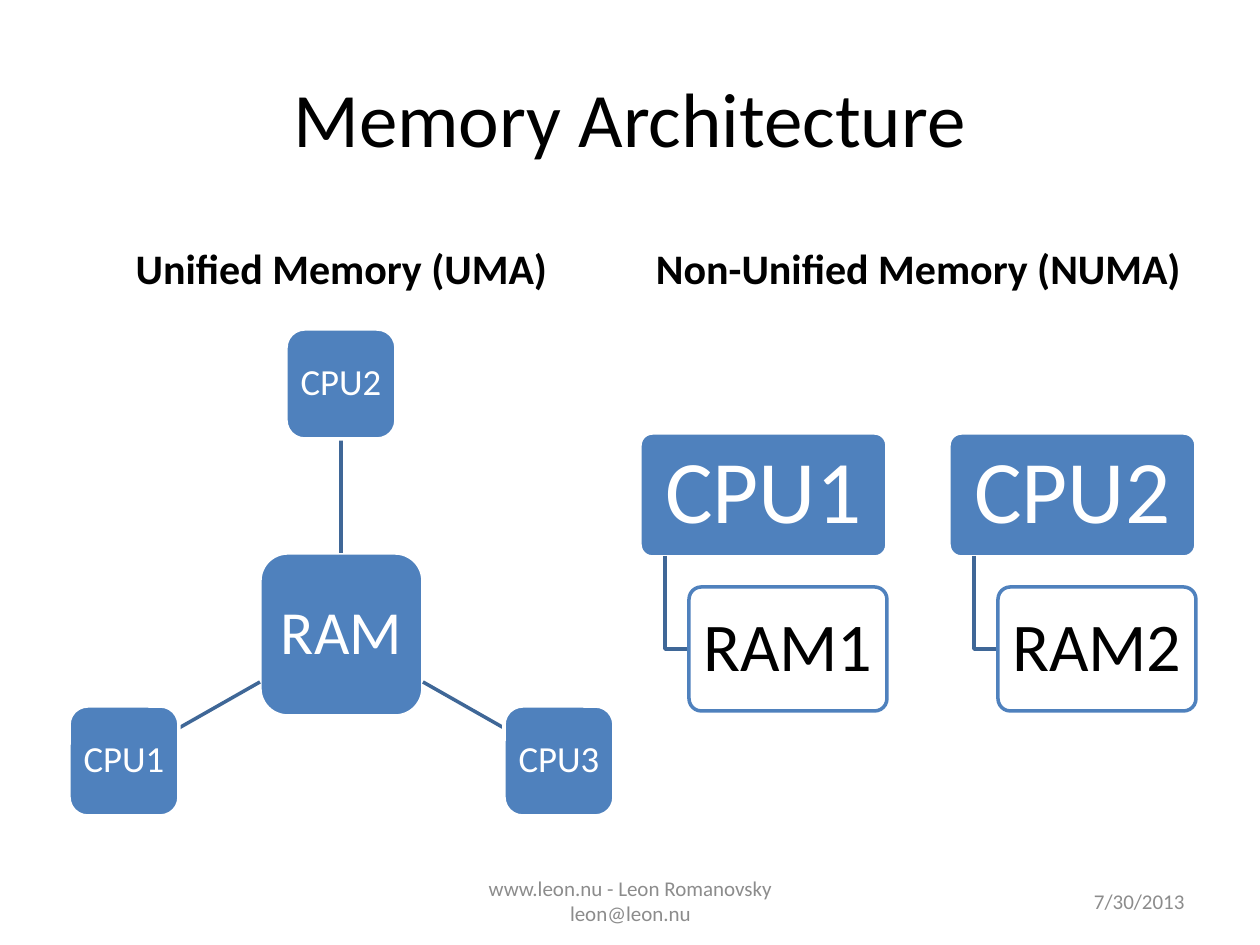
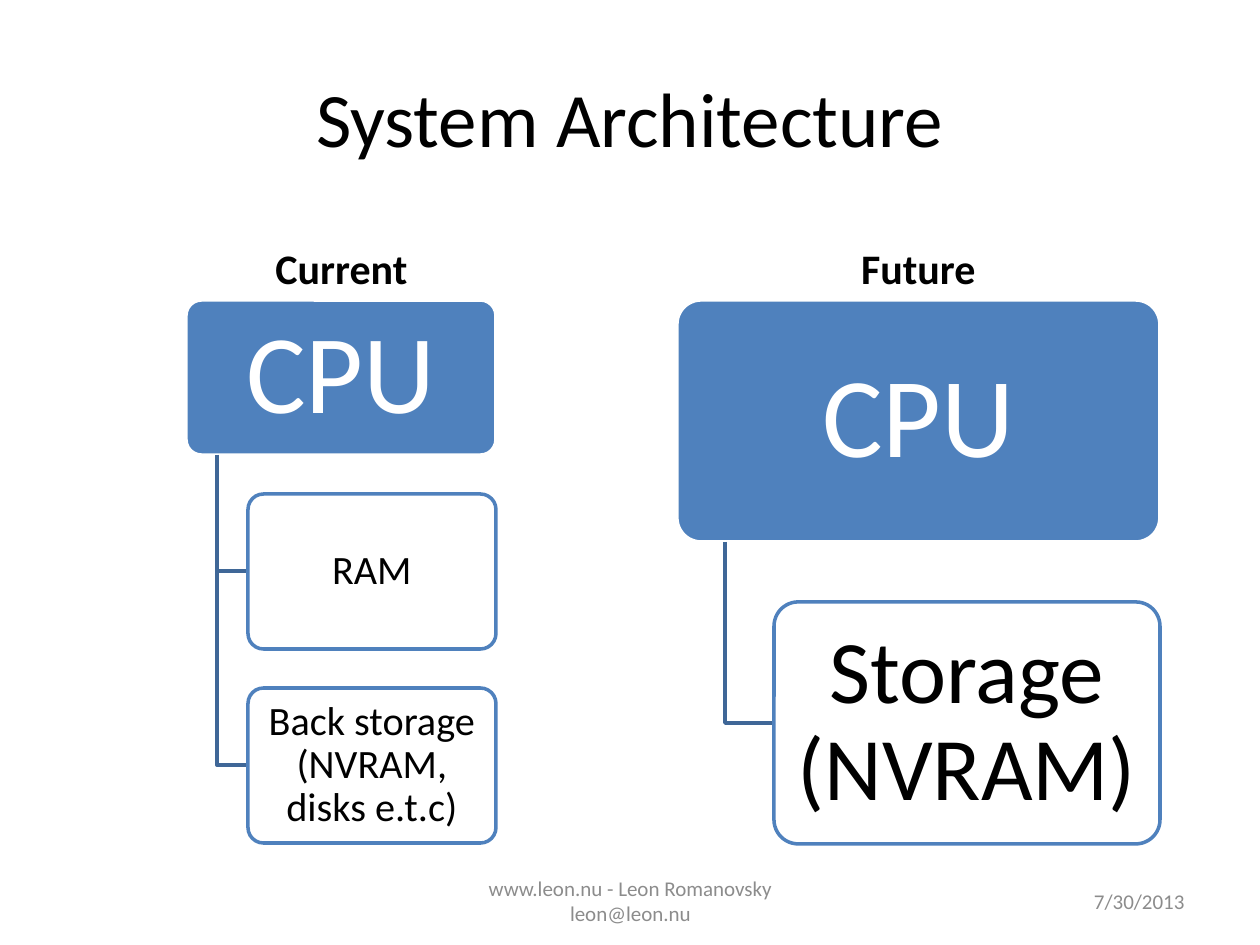
from pptx import Presentation
from pptx.dml.color import RGBColor
from pptx.enum.shapes import MSO_CONNECTOR as Line, MSO_SHAPE as Kind
from pptx.enum.text import MSO_ANCHOR as Anchor, PP_ALIGN as Align
from pptx.oxml.ns import qn
from pptx.util import Pt
from lxml.etree import SubElement

PX = 914400 // 126
BLUE = RGBColor(0x4F, 0x81, 0xBD)
STEEL = RGBColor(0x3F, 0x67, 0x97)
WHITE = RGBColor(0xFF, 0xFF, 0xFF)
BLACK = RGBColor(0, 0, 0)
GREY = RGBColor(0x8C, 0x8C, 0x8C)

# Text styles: size, bold, colour, alignment, anchor
TITLE = (44, False, BLACK, Align.CENTER, Anchor.MIDDLE)
HEAD = (24, True, BLACK, Align.CENTER, Anchor.BOTTOM)
DATE = (12, False, GREY, Align.RIGHT, Anchor.MIDDLE)
FOOT = (12, False, GREY, Align.CENTER, Anchor.MIDDLE)


def write(shape, text, style):
    """Put styled text into a shape."""
    size, bold, color, align, anchor = style
    frame = shape.text_frame
    frame.text = text
    frame.word_wrap = True
    frame.vertical_anchor = anchor
    para = frame.paragraphs[0]
    para.alignment = align
    for run in para.runs:
        font = run.font
        for key, val in dict(name="Calibri", size=Pt(size), bold=bold).items():
            setattr(font, key, val)
        font.color.rgb = color
    return frame


def box(slide, area, text, size, fill=BLUE, edge=WHITE, ink=WHITE, bend=0.1):
    """Add a rounded box with centred text."""
    shape = slide.shapes.add_shape(
        Kind.ROUNDED_RECTANGLE, *[round(n) * PX for n in area])
    shape.shadow.inherit = False
    shape.adjustments[0] = bend
    shape.fill.solid()
    shape.fill.fore_color.rgb = fill
    shape.line.color.rgb = edge
    shape.line.width = Pt(2)
    frame = write(shape, text, (size, False, ink, Align.CENTER, Anchor.MIDDLE))
    frame.paragraphs[0].line_spacing = 0.9
    for side in ("left", "right", "top", "bottom"):
        setattr(frame, "margin_" + side, round(size * 0.18) * PX)


deck = Presentation()
deck.slide_width, deck.slide_height = 1260 * PX, 945 * PX

# Trees: left, top, root width, root text, root size, leaf texts, leaf size
PAGES = [
    ("Memory Architecture",
     ("Unified Memory (UMA)", "Non-Unified Memory (NUMA)"),
     [(640, 433, 247, "CPU1", 51, ["RAM1"], 39),
      (949, 433, 247, "CPU2", 51, ["RAM2"], 39)]),
    ("System Architecture",
     ("Current", "Future"),
     [(186, 300, 310, "CPU", 64,
       ["RAM", "Back storage (NVRAM, disks e.t.c)"], 23),
      (677, 300, 483, "CPU", 65, ["Storage (NVRAM)"], 51)]),
]

for title, heads, trees in PAGES:
    slide = deck.slides.add_slide(deck.slide_layouts[6])
    texts = [
        (title, TITLE, (63, 38, 1134, 158)),
        (heads[0], HEAD, (63, 211, 557, 88)),
        (heads[1], HEAD, (640, 211, 557, 88)),
        ("7/30/2013", DATE, (903, 876, 294, 50)),
        ("www.leon.nu - Leon Romanovsky\vleon@leon.nu", FOOT,
         (431, 876, 399, 50)),
    ]
    for text, style, area in texts:
        write(slide.shapes.add_textbox(*[n * PX for n in area]), text, style)

    # Each root is twice as wide as high; leaves are indented by a fifth
    for left, top, wide, root, size, leaves, small in trees:
        high = wide / 2
        box(slide, (left, top, wide, high), root, size)
        stem, edge = round(left + wide / 10), round(left + wide / 5)
        for i, leaf in enumerate(leaves, 1):
            y = top + 1.25 * high * i
            mid = round(y + high / 2)
            path = slide.shapes.build_freeform(stem, round(top + high), PX)
            path.add_line_segments([(stem, mid), (edge, mid)], close=False)
            link = path.convert_to_shape()
            link.shadow.inherit = False
            link.fill.background()
            link.line.color.rgb = STEEL
            link.line.width = Pt(2)
            box(slide, (edge, y, wide * 0.8, high), leaf, small,
                WHITE, BLUE, BLACK)

# Shared memory: one hub with three processors around it
slide = deck.slides[0]
box(slide, (260, 553, 163, 163), "RAM", 35, bend=0.17)
SPOKES = [
    ("CPU2", 286, 329, (341, 553, 341, 438)),
    ("CPU3", 504, 706, (423, 682, 504, 728)),
    ("CPU1", 69, 706, (260, 682, 179, 728)),
]
for text, left, top, ends in SPOKES:
    spoke = slide.shapes.add_connector(Line.STRAIGHT, *[n * PX for n in ends])
    spoke.line.color.rgb = STEEL
    spoke.line.width = Pt(2)
    SubElement(spoke._element.spPr, qn("a:effectLst"))
    box(slide, (left, top, 110, 110), text, 21, bend=0.17)

deck.save("out.pptx")
